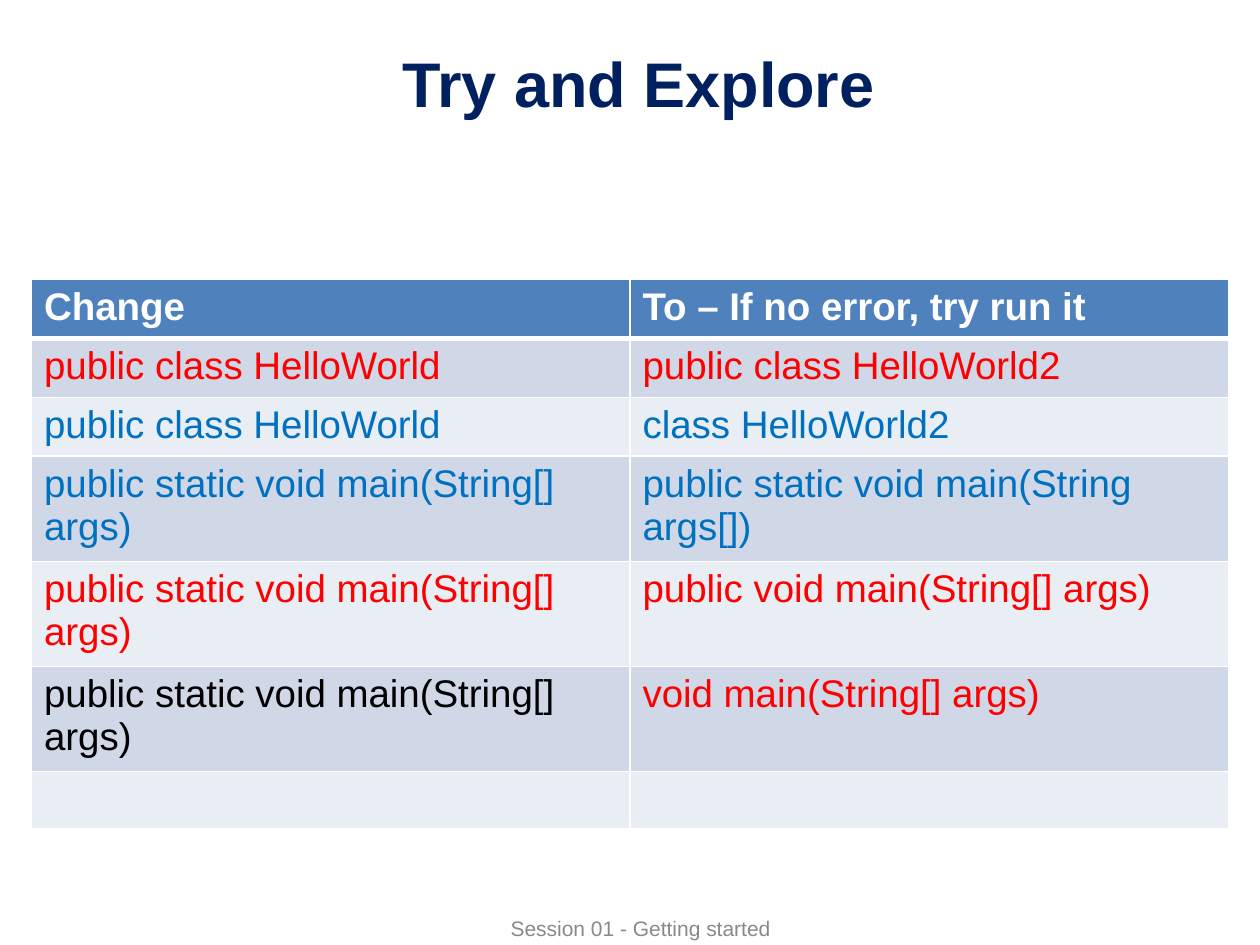
import pptx
import pptx.dml.color
import pptx.enum.text
import pptx.oxml.ns
import pptx.util
import lxml.etree

COLORS = {
    "navy": "002060",
    "header": "4F81BD",
    "band_dark": "D0D8E8",
    "band_light": "E9EDF4",
    "white": "FFFFFF",
    "red": "FF0000",
    "blue": "0070C0",
    "black": "000000",
    "grey": "898989",
}
WIDTH, HEIGHT = 10, 7.5
ROW_HEIGHT, LAST_ROW_HEIGHT = 0.41, 0.46
HEADINGS = ("Change", "To – If no error, try run it")
MAIN_METHOD = "public static void main(String[] args)"
CHANGES = [
    ("public class HelloWorld", "red", "public class HelloWorld2", "red"),
    ("public class HelloWorld", "blue", "class HelloWorld2", "blue"),
    (MAIN_METHOD, "blue", "public static void main(String args[])", "blue"),
    (MAIN_METHOD, "red", "public void main(String[] args)", "red"),
    (MAIN_METHOD, "black", "void main(String[] args)", "red"),
    ("", "black", "", "black"),
]


def color(name):
    return pptx.dml.color.RGBColor.from_string(COLORS[name])


def write_text(text_frame, text, size=22, color_name="black", bold=False, centered=False):
    paragraph = text_frame.paragraphs[0]
    if centered:
        paragraph.alignment = pptx.enum.text.PP_ALIGN.CENTER
        text_frame.vertical_anchor = pptx.enum.text.MSO_ANCHOR.MIDDLE
    if not text:
        return
    run = paragraph.add_run()
    run.text = text
    run.font.name = "Arial"
    run.font.size = pptx.util.Pt(size)
    run.font.bold = bold
    run.font.color.rgb = color(color_name)


def place(shape, left, top, width, height):
    shape.left, shape.top = pptx.util.Inches(left), pptx.util.Inches(top)
    shape.width, shape.height = pptx.util.Inches(width), pptx.util.Inches(height)


def add_borders(cell, top, bottom):
    properties = cell._tc.get_or_add_tcPr()
    name = pptx.oxml.ns.qn
    for side, points in (("L", 1), ("R", 1), ("T", top), ("B", bottom)):
        line = lxml.etree.SubElement(
            properties, name("a:ln" + side), w=str(pptx.util.Pt(points))
        )
        fill = lxml.etree.SubElement(line, name("a:solidFill"))
        lxml.etree.SubElement(fill, name("a:srgbClr"), val=COLORS["white"])


def fill_cell(cell, text, fill_name, top=1, bottom=1, **text_format):
    add_borders(cell, top, bottom)
    cell.fill.solid()
    cell.fill.fore_color.rgb = color(fill_name)
    write_text(cell.text_frame, text, **text_format)


def add_title(slide):
    title = slide.shapes.title
    place(title, 0.05 * WIDTH, 0.04 * HEIGHT, 0.9 * WIDTH, 0.7)
    write_text(title.text_frame, " Try and Explore", size=36,
               color_name="navy", bold=True, centered=True)


def add_change_table(slide):
    row_count = len(CHANGES) + 1
    frame = slide.shapes.add_table(
        row_count, 2,
        pptx.util.Inches(0.25), pptx.util.Inches(2.22),
        pptx.util.Inches(0.95 * WIDTH), pptx.util.Inches(ROW_HEIGHT * row_count),
    )
    table = frame.table
    for row in table.rows:
        row.height = pptx.util.Inches(ROW_HEIGHT)
    table.rows[row_count - 1].height = pptx.util.Inches(LAST_ROW_HEIGHT)
    for column, heading in enumerate(HEADINGS):
        fill_cell(table.cell(0, column), heading, "header", bottom=3,
                  color_name="white", bold=True)
    for row, (before, before_color, after, after_color) in enumerate(CHANGES, start=1):
        band = "band_dark" if row % 2 else "band_light"
        top = 3 if row == 1 else 1
        fill_cell(table.cell(row, 0), before, band, top=top, color_name=before_color)
        fill_cell(table.cell(row, 1), after, band, top=top, color_name=after_color)


def add_footer(slide):
    footer = slide.shapes.add_textbox(0, 0, 0, 0)
    place(footer, 3.5, 7.23, 3.17, 0.27)
    footer.text_frame.word_wrap = True
    write_text(footer.text_frame, "Session 01 - Getting started", size=12,
               color_name="grey", centered=True)


def main():
    presentation = pptx.Presentation()
    presentation.slide_width = pptx.util.Inches(WIDTH)
    presentation.slide_height = pptx.util.Inches(HEIGHT)
    slide = presentation.slides.add_slide(presentation.slide_layouts[5])
    add_footer(slide)
    add_title(slide)
    add_change_table(slide)
    presentation.save("out.pptx")


if __name__ == "__main__":
    main()
